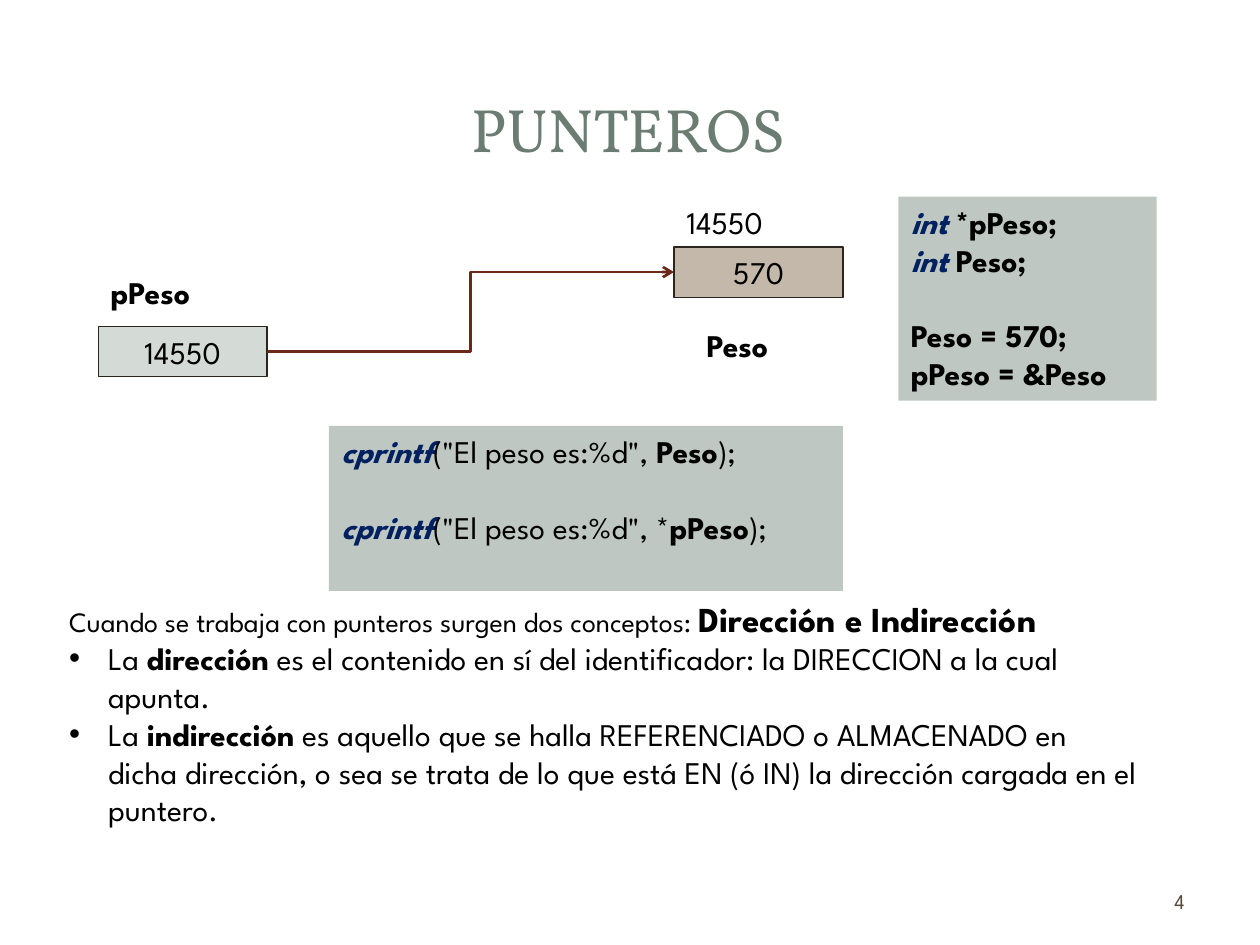
from lxml.etree import SubElement
from pptx import Presentation
from pptx.dml.color import RGBColor
from pptx.enum.shapes import MSO_CONNECTOR, MSO_SHAPE
from pptx.enum.text import MSO_ANCHOR, PP_ALIGN
from pptx.oxml.ns import qn
from pptx.util import Inches, Pt

BODY_FONT = "League Spartan"
BLACK, NAVY, MOSS = "000000", "002060", "BEC7C2"
PLAIN = {"name": BODY_FONT, "size": Pt(18), "bold": False, "italic": False}
BOLD = {"bold": True}
KEYWORD = {"bold": True, "italic": True, "color": NAVY}
LINE_GAP = {"space_before": Pt(21.6)}
CENTERED = {"alignment": PP_ALIGN.CENTER}
LEFT, RIGHT = 1, 3  # connection sites of a rectangle


def rgb(hex_color):
    """Turn a hex string into a colour."""
    return RGBColor.from_string(hex_color)


def apply(target, values):
    """Set every attribute named in a dict."""
    for name, value in values.items():
        setattr(target, name, value)


def add_run(paragraph, text, style):
    """Append one run, with style laid over the plain format."""
    run = paragraph.add_run()
    run.text = text
    values = {**PLAIN, **style}
    run.font.color.rgb = rgb(values.pop("color", BLACK))
    apply(run.font, values)


def add_bullet(paragraph):
    """Give a paragraph a round bullet and a hanging indent."""
    properties = paragraph._p.get_or_add_pPr()
    properties.set("marL", str(Inches(0.31)))
    properties.set("indent", str(-Inches(0.31)))
    SubElement(properties, qn("a:buFont")).set("typeface", "Arial")
    SubElement(properties, qn("a:buChar")).set("char", "•")


def write(frame, paragraphs, anchor=MSO_ANCHOR.TOP):
    """Fill a frame with (runs, format) paragraphs; return them."""
    apply(frame, {"word_wrap": True, "vertical_anchor": anchor})
    written = []
    for runs, layout in paragraphs:
        paragraph = frame.add_paragraph() if written else frame.paragraphs[0]
        apply(paragraph, {"alignment": PP_ALIGN.LEFT, **layout})
        for text, style in runs:
            add_run(paragraph, text, style)
        written.append(paragraph)
    return written


def add_text(slide, box, paragraphs, anchor=MSO_ANCHOR.TOP):
    """Place a text box; return its paragraphs."""
    textbox = slide.shapes.add_textbox(*map(Inches, box))
    return write(textbox.text_frame, paragraphs, anchor)


def add_panel(slide, box, fill, paragraphs, outline=None,
              anchor=MSO_ANCHOR.TOP):
    """Place a filled rectangle with text."""
    panel = slide.shapes.add_shape(MSO_SHAPE.RECTANGLE, *map(Inches, box))
    panel.shadow.inherit = False
    panel.fill.solid()
    panel.fill.fore_color.rgb = rgb(fill)
    if outline:
        panel.line.color.rgb = rgb(outline)
        panel.line.width = Pt(0.75)
    else:
        panel.line.fill.background()
    write(panel.text_frame, paragraphs, anchor)
    return panel


def add_memory_cell(slide, left, top, fill, value):
    """Draw a variable's memory cell holding a value."""
    return add_panel(slide, (left, top, 1.34, 0.4), fill,
                     [([(value, {})], CENTERED)], "2B251E", MSO_ANCHOR.MIDDLE)


def add_label(slide, left, top, text, style):
    """Write a short label beside a memory cell."""
    add_text(slide, (left, top, 1.02, 0.4), [([(text, style)], {})])


def add_pointer_arrow(slide, pointer, target):
    """Join two cells with an elbow arrow."""
    arrow = slide.shapes.add_connector(MSO_CONNECTOR.ELBOW, 0, 0, 0, 0)
    arrow.begin_connect(pointer, RIGHT)
    arrow.end_connect(target, LEFT)
    arrow.line.color.rgb = rgb("6C271B")
    arrow.line.width = Pt(1.5)
    SubElement(arrow.line._get_or_add_ln(), qn("a:tailEnd")).set("type", "arrow")
    SubElement(arrow._element.spPr, qn("a:effectLst"))


def add_diagram(slide):
    """Draw the pointer, the variable and the arrow between them."""
    pointer = add_memory_cell(slide, 0.78, 2.59, "D4DAD6", "14550")
    variable = add_memory_cell(slide, 5.35, 1.96, "C3B8A9", "570")
    add_label(slide, 0.78, 2.12, "pPeso", BOLD)
    add_label(slide, 5.35, 1.56, "14550", {})
    add_label(slide, 5.51, 2.54, "Peso", BOLD)
    add_pointer_arrow(slide, pointer, variable)


def add_code(slide):
    """Place the declarations and the print calls."""
    add_panel(slide, (7.13, 1.56, 2.05, 1.62), MOSS, [
        ([("int ", KEYWORD), ("*pPeso;", BOLD)], {}),
        ([("int", KEYWORD), (" Peso;", BOLD)], {}),
        ([("Peso = 570;", BOLD)], LINE_GAP),
        ([("pPeso = &Peso", BOLD)], {}),
    ])
    calls = [('("El peso es:%d", ', "Peso", {}),
             ('("El peso es:%d", *', "pPeso", LINE_GAP)]
    add_panel(slide, (2.61, 3.38, 4.08, 1.31), MOSS, [
        ([("cprintf", KEYWORD), (opening, {}), (name, BOLD), (");", {})], layout)
        for opening, name, layout in calls
    ])


def add_concepts(slide):
    """Explain address and indirection."""
    intro, *concepts = add_text(slide, (0.45, 4.69, 8.72, 2.32), [
        ([("Cuando se trabaja con punteros surgen dos conceptos: ",
           {"size": Pt(16)}),
          ("Dirección e Indirección", {"size": Pt(20), "bold": True})], {}),
        ([("La ", {}), ("dirección", BOLD),
          (" es el contenido en sí del identificador: la DIRECCION a la cual "
           "apunta. ", {})], {}),
        ([("La ", {}), ("indirección", BOLD),
          (" es aquello que se halla REFERENCIADO o ALMACENADO en dicha "
           "dirección, o sea se trata de lo que está EN (ó IN) la dirección "
           "cargada en el puntero.", {})], {}),
    ])
    for concept in concepts:
        add_bullet(concept)


def main():
    """Build the slide about pointers."""
    deck = Presentation()
    apply(deck, {"slide_width": Inches(10), "slide_height": Inches(7.5)})
    slide = deck.slides.add_slide(deck.slide_layouts[6])
    heading = {"name": "Vollkorn", "size": Pt(35), "color": "6B7D72"}
    add_text(slide, (0.47, 0.45, 9.03, 1.14),
             [([("PUNTEROS", heading)], CENTERED)], MSO_ANCHOR.MIDDLE)
    page_number = {"size": Pt(12), "color": "564B3C"}
    add_text(slide, (7.17, 6.95, 2.33, 0.4),
             [([("4", page_number)], {"alignment": PP_ALIGN.RIGHT})],
             MSO_ANCHOR.MIDDLE)
    add_diagram(slide)
    add_code(slide)
    add_concepts(slide)
    deck.save("out.pptx")


main()
